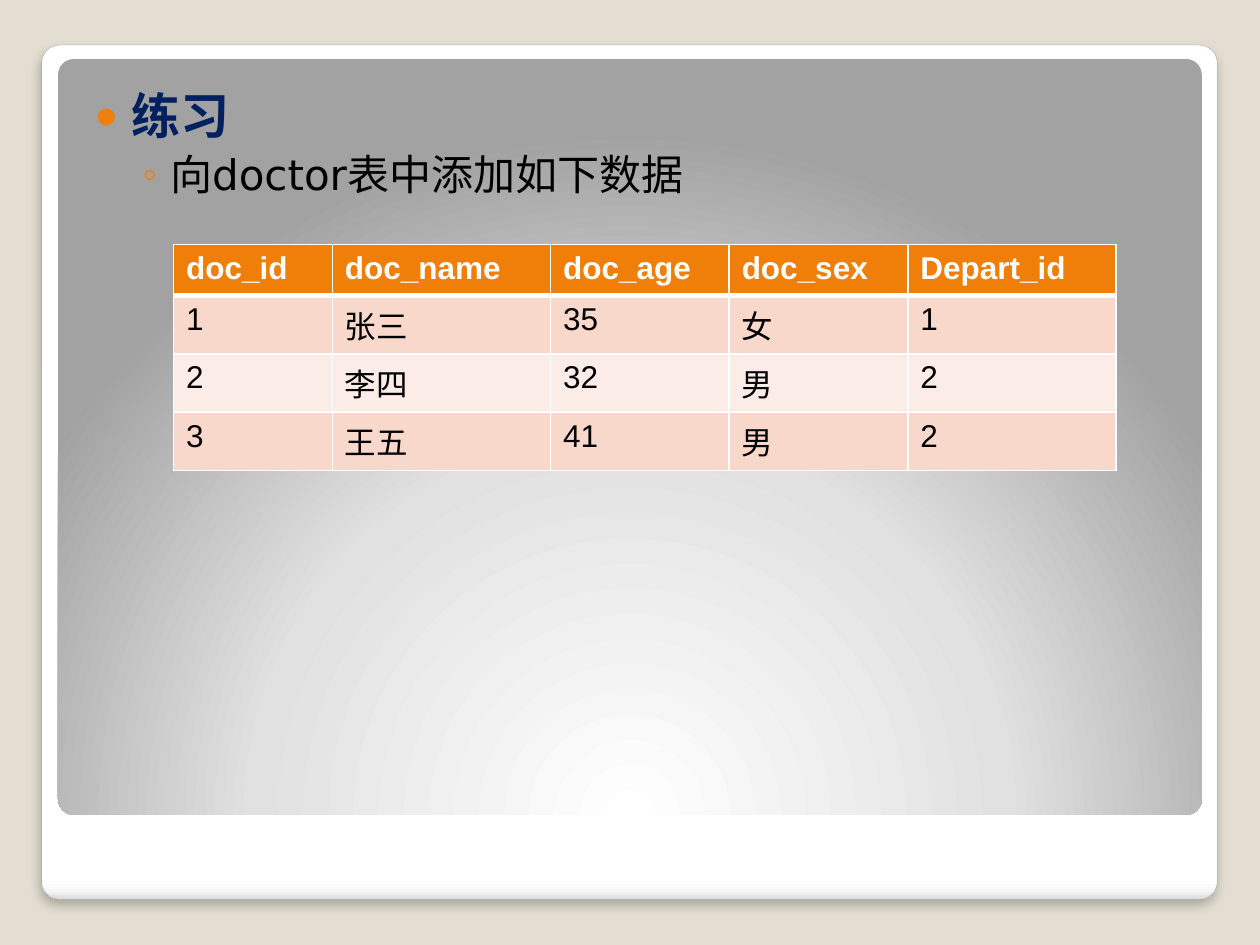
from lxml import etree
from pptx import Presentation
from pptx.dml.color import RGBColor
from pptx.enum.shapes import MSO_SHAPE
from pptx.enum.text import MSO_AUTO_SIZE
from pptx.oxml import parse_xml
from pptx.oxml.ns import nsdecls, qn
from pptx.util import Cm, Pt

ROUNDED = MSO_SHAPE.ROUNDED_RECTANGLE
NO_FIT = MSO_AUTO_SIZE.NONE

COLORS = {
    "background": "E3DED1", "edge": "A4A4A4", "accent": "F07F09",
    "heading": "002060", "text": "000000", "white": "FFFFFF",
    "odd": "F9D8CC", "even": "FCECE7",
}


def rgb(name):
    return RGBColor.from_string(COLORS[name])


def add_panel(box, stops, direction):
    panel = slide.shapes.add_shape(ROUNDED, *map(Cm, box))
    panel.adjustments[0] = 0.021
    panel.shadow.inherit = False
    panel.line.fill.background()
    stop_xml = "".join(
        f'<a:gs pos="{pos * 1000}"><a:srgbClr val="{color}"/></a:gs>'
        for pos, color in stops)
    panel._element.spPr.insert(2, parse_xml(
        f'<a:gradFill {nsdecls("a")} rotWithShape="1">'
        f'<a:gsLst>{stop_xml}</a:gsLst>{direction}</a:gradFill>'))
    return panel


prs = Presentation()
prs.slide_width, prs.slide_height = Cm(25.4), Cm(19.05)
slide = prs.slides.add_slide(prs.slide_layouts[1])
slide.background.fill.solid()
slide.background.fill.fore_color.rgb = rgb("background")
title = slide.shapes.title._element
title.getparent().remove(title)
body = slide.placeholders[1]

# White card with a soft shadow, and the grey panel inside it
card = add_panel((0.84, 0.91, 23.7, 17.22),
                 [(0, "FFFFFF"), (98, "FFFFFF"), (99, "F7F7F7"), (100, "DADADA")],
                 '<a:lin ang="5400000" scaled="0"/>')
card.line.color.rgb = rgb("edge")
card.line.width = Pt(0.16)
card._element.spPr.find(qn("a:effectLst")).append(parse_xml(
    f'<a:outerShdw {nsdecls("a")} blurRad="{Pt(6)}" dist="{Pt(4)}" dir="5400000">'
    '<a:srgbClr val="000000"><a:alpha val="25000"/></a:srgbClr></a:outerShdw>'))
panel = add_panel((1.17, 1.19, 23.06, 15.24),
                  [(0, "FFFFFF"), (55, "E1E1E1"), (100, "A2A2A2")],
                  '<a:path path="circle"><a:fillToRect l="50000" t="175000" '
                  'r="50000" b="-75000"/></a:path>')
for backdrop in (card, panel):
    body._element.addprevious(backdrop._element)

# Exercise text
body.left, body.top, body.width, body.height = map(Cm, (1.4, 1.47, 22.73, 11.63))
frame = body.text_frame
frame.auto_size = NO_FIT
frame.margin_left, frame.margin_top = Cm(0.51), Cm(0.25)
frame.margin_right, frame.margin_bottom = Cm(0.25), Cm(0.13)
lines = [
    # text, size, colour, bold, left indent, hanging indent, bullet, bullet size
    ("练习", 28, "heading", True, 0.74, 0.74, "●", 80),
    ("向doctor表中添加如下数据", 24, "text", False, 1.52, 0.56, "◦", 100),
]
for level, (text, size, color, bold, left, hang, bullet, percent) in enumerate(lines):
    line = frame.add_paragraph() if level else frame.paragraphs[0]
    line.text, line.level = text, level
    line.space_before = Pt(2.5 * level)
    props = line._p.get_or_add_pPr()
    props.set("marL", str(Cm(left)))
    props.set("indent", str(-Cm(hang)))
    bullet_color = etree.SubElement(props, qn("a:buClr"))
    etree.SubElement(bullet_color, qn("a:srgbClr"), val=COLORS["accent"])
    etree.SubElement(props, qn("a:buSzPct"), val=str(percent * 1000))
    etree.SubElement(props, qn("a:buChar"), char=bullet)
    line.font.name, line.font.size, line.font.bold = "DejaVu Sans", Pt(size), bold
    line.font.color.rgb = rgb(color)

# Table of doctors
doctors = [
    ("doc_id", "doc_name", "doc_age", "doc_sex", "Depart_id"),
    ("1", "张三", "35", "女", "1"),
    ("2", "李四", "32", "男", "2"),
    ("3", "王五", "41", "男", "2"),
]
widths = [3.2, 4.4, 3.6, 3.6, 4.2]
table = slide.shapes.add_table(len(doctors), len(widths), Cm(3.5), Cm(4.93),
                               Cm(sum(widths)), Cm(1.03 * len(doctors))).table
for column, width in zip(table.columns, widths):
    column.width = Cm(width)
for r, doctor in enumerate(doctors):
    header = r == 0
    row_fill = "accent" if header else "odd" if r % 2 else "even"
    borders = {"L": 1, "R": 1, "T": 3 if r == 1 else 1, "B": 3 if header else 1}
    for c, value in enumerate(doctor):
        cell = table.cell(r, c)
        cell.text = value
        font = cell.text_frame.paragraphs[0].font
        font.name, font.size, font.bold = "Arial", Pt(18), header
        font.color.rgb = rgb("white" if header else "text")
        for side, points in borders.items():
            cell._tc.get_or_add_tcPr().append(parse_xml(
                f'<a:ln{side} {nsdecls("a")} w="{Pt(points)}"><a:solidFill>'
                f'<a:srgbClr val="{COLORS["white"]}"/></a:solidFill></a:ln{side}>'))
        cell.fill.solid()
        cell.fill.fore_color.rgb = rgb(row_fill)

prs.save("out.pptx")
